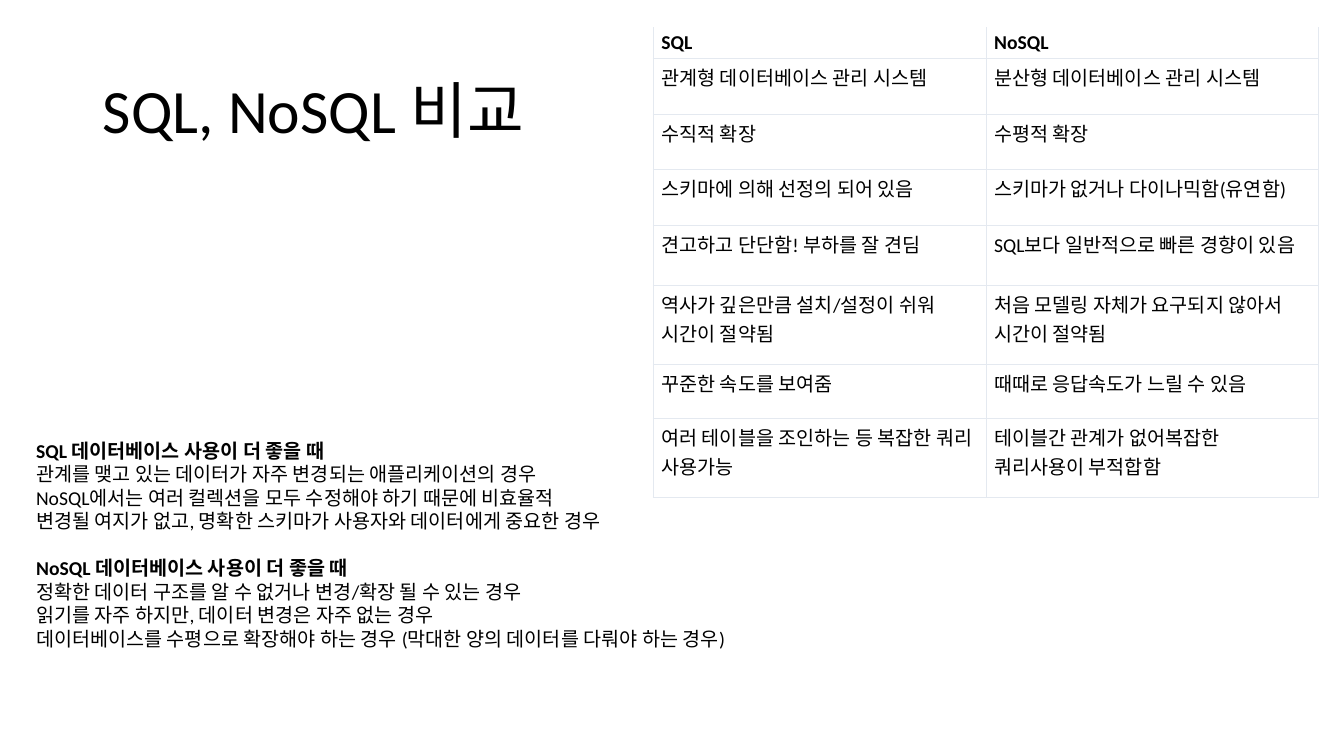
from dataclasses import dataclass

from lxml import etree
from pptx import Presentation
from pptx.dml.color import RGBColor
from pptx.enum.text import MSO_ANCHOR, MSO_AUTO_SIZE, PP_ALIGN
from pptx.oxml.ns import qn
from pptx.util import Inches, Pt

LEFT = PP_ALIGN.LEFT
TOP, MIDDLE = MSO_ANCHOR.TOP, MSO_ANCHOR.MIDDLE
NO_FIT = MSO_AUTO_SIZE.NONE
TITLE_ONLY = 5


@dataclass(frozen=True)
class Theme:
    font: str = "Calibri"
    text: str = "000000"
    border: str = "E4E9F0"
    title_size: float = 44
    body_size: float = 14
    border_width: float = 0.75
    title_spacing: float = 0.9
    section_gap: float = 16.8


# Content
TITLE = "SQL, NoSQL 비교"

USE_CASES = [
    ("SQL 데이터베이스 사용이 더 좋을 때", [
        "관계를 맺고 있는 데이터가 자주 변경되는 애플리케이션의 경우",
        "NoSQL에서는 여러 컬렉션을 모두 수정해야 하기 때문에 비효율적",
        "변경될 여지가 없고, 명확한 스키마가 사용자와 데이터에게 중요한 경우",
    ]),
    ("NoSQL 데이터베이스 사용이 더 좋을 때", [
        "정확한 데이터 구조를 알 수 없거나 변경/확장 될 수 있는 경우",
        "읽기를 자주 하지만, 데이터 변경은 자주 없는 경우",
        "데이터베이스를 수평으로 확장해야 하는 경우 (막대한 양의 데이터를 다뤄야 하는 경우)",
    ]),
]

# Row height, SQL, NoSQL
COMPARISON = [
    (0.3, "SQL", "NoSQL"),
    (0.55, "관계형 데이터베이스 관리 시스템", "분산형 데이터베이스 관리 시스템"),
    (0.55, "수직적 확장", "수평적 확장"),
    (0.55, "스키마에 의해 선정의 되어 있음", "스키마가 없거나 다이나믹함(유연함)"),
    (0.6, "견고하고 단단함! 부하를 잘 견딤", "SQL보다 일반적으로 빠른 경향이 있음"),
    (0.78, "역사가 깊은만큼 설치/설정이 쉬워 시간이 절약됨",
     "처음 모델링 자체가 요구되지 않아서 시간이 절약됨"),
    (0.54, "꾸준한 속도를 보여줌", "때때로 응답속도가 느릴 수 있음"),
    (0.78, "여러 테이블을 조인하는 등 복잡한 쿼리 사용가능",
     "테이블간 관계가 없어복잡한 쿼리사용이 부적합함"),
]


class SlideBuilder:
    def __init__(self, slide, theme):
        self.slide = slide
        self.theme = theme

    def format(self, p, size, bold=False):
        p.alignment = LEFT
        for r in p.runs:
            r.font.name = self.theme.font
            r.font.size = Pt(size)
            r.font.bold = bold
            r.font.color.rgb = RGBColor.from_string(self.theme.text)

    def title(self, text, left, top, width, height):
        sp = self.slide.shapes.title
        sp.left, sp.top = Inches(left), Inches(top)
        sp.width, sp.height = Inches(width), Inches(height)
        tf = sp.text_frame
        tf.text = text
        tf.auto_size = NO_FIT
        tf.vertical_anchor = MIDDLE
        p = tf.paragraphs[0]
        p.line_spacing = self.theme.title_spacing
        self.format(p, self.theme.title_size)

    def sections(self, sections, left, top, width, height, inset_top):
        sp = self.slide.shapes.add_textbox(
            Inches(left), Inches(top), Inches(width), Inches(height))
        tf = sp.text_frame
        tf.word_wrap = True
        tf.margin_top = Inches(inset_top)
        for i, (heading, lines) in enumerate(sections):
            p = tf.add_paragraph() if i else tf.paragraphs[0]
            p.text = heading
            if i:
                p.space_before = Pt(self.theme.section_gap)
            self.format(p, self.theme.body_size, bold=True)
            for line in lines:
                p = tf.add_paragraph()
                p.text = line
                self.format(p, self.theme.body_size)

    def table(self, rows, left, top, col_width):
        n_cols = len(rows[0]) - 1
        total_height = sum(row[0] for row in rows)
        table = self.slide.shapes.add_table(
            len(rows), n_cols, Inches(left), Inches(top),
            Inches(col_width * n_cols), Inches(total_height)).table
        table.first_row = table.horz_banding = False
        for col in table.columns:
            col.width = Inches(col_width)
        for i, (height, *texts) in enumerate(rows):
            table.rows[i].height = Inches(height)
            for j, text in enumerate(texts):
                self.cell(table.cell(i, j), text, header=i == 0)

    def cell(self, cell, text, header):
        cell.text = text
        cell.vertical_anchor = TOP
        cell.margin_left = cell.margin_right = Inches(0.08)
        cell.margin_top = cell.margin_bottom = Inches(0.04)
        cell.fill.background()
        self.format(cell.text_frame.paragraphs[0], self.theme.body_size, header)
        # Borders go before the fill; the header row is open at the top
        tc_pr = cell._tc.get_or_add_tcPr()
        for i, side in enumerate(("lnL", "lnR", "lnT", "lnB")):
            ln = etree.Element(qn(f"a:{side}"), w=str(Pt(self.theme.border_width)))
            if header and side == "lnT":
                etree.SubElement(ln, qn("a:noFill"))
            else:
                fill = etree.SubElement(ln, qn("a:solidFill"))
                etree.SubElement(fill, qn("a:srgbClr"), val=self.theme.border)
            tc_pr.insert(i, ln)


def main():
    prs = Presentation()
    prs.slide_width, prs.slide_height = Inches(13.33), Inches(7.5)
    s = prs.slides.add_slide(prs.slide_layouts[TITLE_ONLY])
    builder = SlideBuilder(s, Theme())

    # Title, use cases on the left, comparison on the right
    builder.title(TITLE, 0.92, 0.4, 11.5, 1.45)
    builder.sections(USE_CASES, 0.26, 4.07, 7.63, 2.69, inset_top=0.28)
    builder.table(COMPARISON, 6.48, 0.27, col_width=3.3)

    prs.save("out.pptx")


if __name__ == "__main__":
    main()
